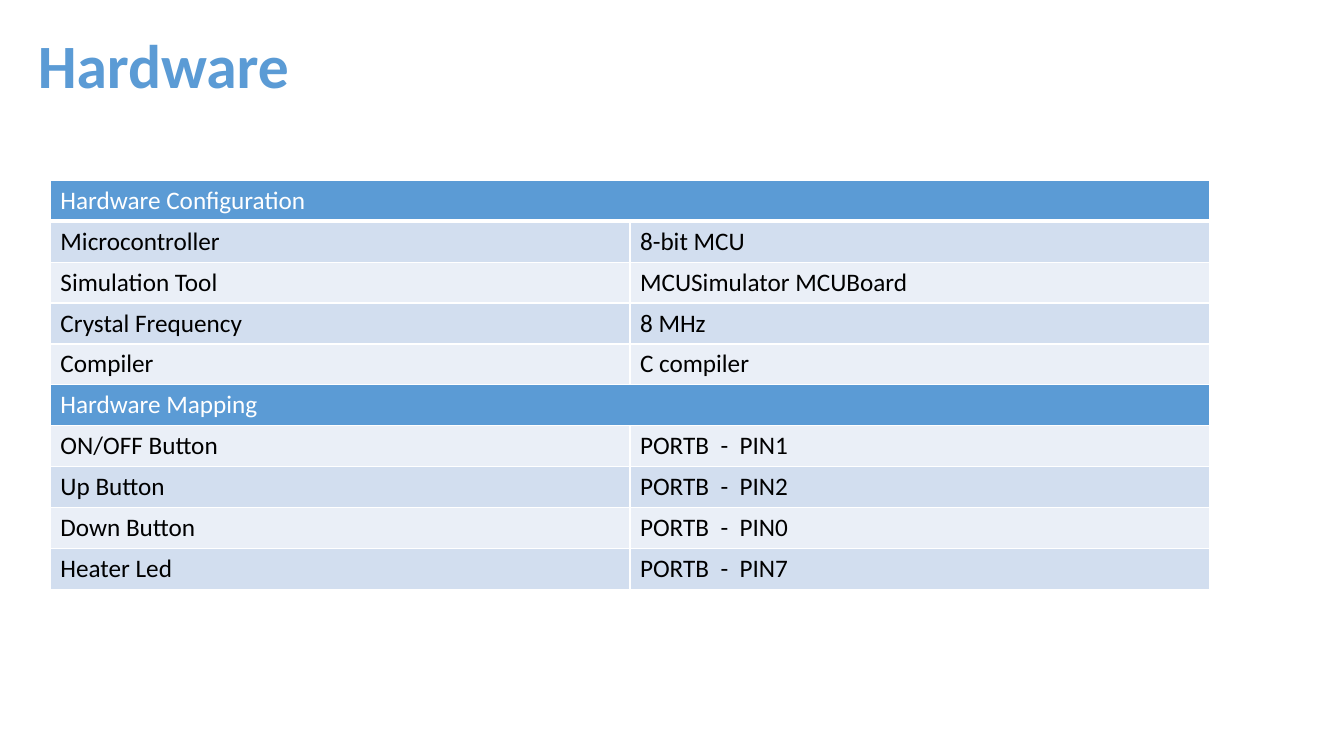
from lxml.etree import SubElement
from pptx import Presentation
from pptx.dml.color import RGBColor
from pptx.enum.shapes import MSO_SHAPE
from pptx.enum.text import MSO_ANCHOR, PP_ALIGN
from pptx.oxml.ns import qn
from pptx.util import Pt

HEADING = "Hardware"
SECTIONS = [
    ("Hardware Configuration", [
        ("Microcontroller", "8-bit MCU"),
        ("Simulation Tool", "MCUSimulator MCUBoard"),
        ("Crystal Frequency", "8 MHz"),
        ("Compiler", "C compiler"),
    ]),
    ("Hardware Mapping", [
        ("ON/OFF Button", "PORTB  -  PIN1"),
        ("Up Button", "PORTB  -  PIN2"),
        ("Down Button", "PORTB  -  PIN0"),
        ("Heater Led", "PORTB  -  PIN7"),
    ]),
]
COLORS = {
    "accent": "5B9BD5",
    "odd": "D2DEEF",
    "even": "EAEFF7",
    "white": "FFFFFF",
    "black": "000000",
}
FONT = "Calibri"
COLUMN_WIDTH = 414
ROW_HEIGHT = 29.2


def rgb(name):
    return RGBColor.from_string(COLORS[name])


def style_text(paragraph, size, color, bold=False):
    for run in paragraph.runs:
        run.font.name = FONT
        run.font.size = Pt(size)
        run.font.bold = bold
        run.font.color.rgb = rgb(color)


def set_borders(cell, bottom_width):
    properties = cell._tc.get_or_add_tcPr()
    for side, width in (("L", 1), ("R", 1), ("T", 1), ("B", bottom_width)):
        border = SubElement(properties, qn(f"a:ln{side}"), w=str(Pt(width)))
        fill = SubElement(border, qn("a:solidFill"))
        SubElement(fill, qn("a:srgbClr"), val=COLORS["white"])


def add_heading(slide):
    heading = slide.shapes.add_shape(
        MSO_SHAPE.RECTANGLE, Pt(0), Pt(12.24), Pt(875.5), Pt(73.4))
    heading.shadow.inherit = False
    heading.fill.background()
    heading.line.color.rgb = rgb("white")
    heading.line.width = Pt(0.75)
    frame = heading.text_frame
    frame.text = HEADING
    frame.word_wrap = True
    frame.margin_left = Pt(27)
    frame.vertical_anchor = MSO_ANCHOR.MIDDLE
    paragraph = frame.paragraphs[0]
    paragraph.alignment = PP_ALIGN.LEFT
    paragraph.line_spacing = 0.9
    style_text(paragraph, 44, "accent", bold=True)


def add_hardware_table(slide):
    rows = []
    for section, entries in SECTIONS:
        rows.append((section, ""))
        rows.extend(entries)
    section_names = [section for section, entries in SECTIONS]

    hardware = slide.shapes.add_table(
        len(rows), 2, Pt(36), Pt(128.9),
        Pt(2 * COLUMN_WIDTH), Pt(len(rows) * ROW_HEIGHT)).table
    for column in hardware.columns:
        column.width = Pt(COLUMN_WIDTH)
    for row_index, texts in enumerate(rows):
        hardware.rows[row_index].height = Pt(ROW_HEIGHT)
        is_section = texts[0] in section_names
        band = "odd" if row_index % 2 else "even"
        for column_index, text in enumerate(texts):
            cell = hardware.cell(row_index, column_index)
            set_borders(cell, 1 if row_index else 3)
            cell.fill.solid()
            cell.fill.fore_color.rgb = rgb("accent" if is_section else band)
            cell.text_frame.text = text
            style_text(cell.text_frame.paragraphs[0], 18,
                       "white" if is_section else "black")
        if is_section:
            hardware.cell(row_index, 0).merge(hardware.cell(row_index, 1))


def main():
    presentation = Presentation()
    presentation.slide_width = Pt(960)
    presentation.slide_height = Pt(540)
    slide = presentation.slides.add_slide(presentation.slide_layouts[6])
    add_hardware_table(slide)
    add_heading(slide)
    presentation.save("out.pptx")


if __name__ == "__main__":
    main()
